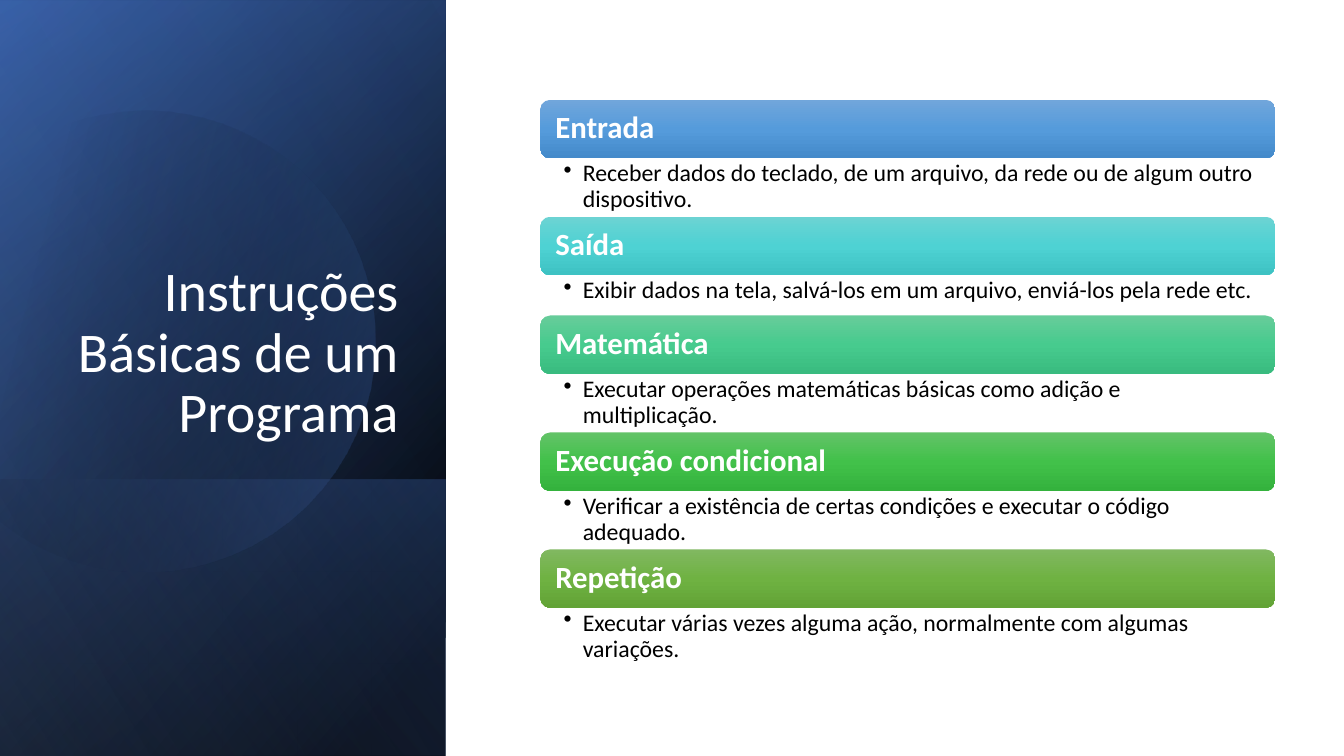
from math import cos, radians, sin

from pptx import Presentation
from pptx.dml.color import RGBColor
from pptx.enum.shapes import MSO_SHAPE
from pptx.enum.text import MSO_ANCHOR, PP_ALIGN
from pptx.oxml import parse_xml
from pptx.oxml.ns import nsdecls, qn
from pptx.util import Inches, Pt

FONT = "Calibri"
COLORS = {
    "white": "FFFFFF",
    "black": "000000",
    "navy": "2F5597",
    "blue": "4472C4",
    "pale": "8FAADC",
}
PANELS = [
    ((-1.54, 1.54, 7.5, 4.42), 50, [(8, "black", 100), (100, "navy", 100)]),
    ((-1.54, 1.55, 7.5, 4.42), 30, [(0, "black", 0), (99, "blue", 46)]),
    ((0.84, 3.92, 2.74, 4.42), 130, [(2, "blue", 29), (100, "black", 30)]),
]
DISC_STOPS = [(29, "black", 0), (100, "blue", 43)]
GLOW = ((-1.54, 1.54, 7.5, 4.42), 120, [(0, "black", 0), (99, "pale", 11)])
DISC_CENTER = (1.585, 3.345)
DISC_ROTATION = 343.9
DISC_START = (1.49, 1.1)
DISC_CURVES = [
    [(2.46, 1.12), (3.35, 1.77), (3.63, 2.75)],
    [(3.98, 3.97), (3.28, 5.23), (2.07, 5.58)],
    [(1.31, 5.8), (0.53, 5.61), (-0.03, 5.14)],
    [(-0.15, 5.03)],
    [(-0.15, 1.75)],
    [(0, 1.61)],
    [(0.23, 1.42), (0.5, 1.28), (0.8, 1.19)],
    [(1.03, 1.13), (1.26, 1.1), (1.49, 1.1)],
]
INSTRUCTIONS = [
    ("Entrada", "Receber dados do teclado, de um arquivo, da rede ou de algum outro dispositivo.",
     0.58, ("71A6DB", "559BDB", "448ACA")),
    ("Saída", "Exibir dados na tela, salvá-los em um arquivo, enviá-los pela rede etc.",
     0.4, ("6CD3D3", "4ED2D3", "3EC2C3")),
    ("Matemática", "Executar operações matemáticas básicas como adição e multiplicação.",
     0.58, ("67CC9A", "47CB8E", "39BB7F")),
    ("Execução condicional", "Verificar a existência de certas condições e executar o código adequado.",
     0.58, ("63C368", "42C14A", "34B23D")),
    ("Repetição", "Executar várias vezes alguma ação, normalmente com algumas variações.",
     0.58, ("81B861", "6FB242", "62A336")),
]
LIST_LEFT, LIST_TOP, LIST_WIDTH, BAR_HEIGHT = 5.36, 0.99, 7.29, 0.58


def fill_gradient(shape, angle, stops):
    shape.shadow.inherit = False
    shape.line.fill.background()
    shape.fill.background()
    marks = "".join(
        f'<a:gs pos="{position * 1000}"><a:srgbClr val="{COLORS.get(color, color)}">'
        f'<a:alpha val="{alpha * 1000}"/></a:srgbClr></a:gs>'
        for position, color, alpha in stops
    )
    gradient = parse_xml(
        f'<a:gradFill {nsdecls("a")} rotWithShape="1"><a:gsLst>{marks}</a:gsLst>'
        f'<a:lin ang="{angle * 60000}" scaled="0"/></a:gradFill>'
    )
    properties = shape.element.spPr
    properties.replace(properties.find(qn("a:noFill")), gradient)


def add_panel(page, area, angle, stops):
    panel = page.shapes.add_shape(MSO_SHAPE.RECTANGLE, *map(Inches, area))
    panel.rotation = 90
    panel.element.spPr.find(qn("a:xfrm")).set("flipH", "1")
    fill_gradient(panel, angle, stops)


def curve_points(start, controls, steps=16):
    if len(controls) == 1:
        return controls
    anchors = [start, *controls]
    points = []
    for step in range(1, steps + 1):
        t = step / steps
        weights = ((1 - t) ** 3, 3 * t * (1 - t) ** 2, 3 * t * t * (1 - t), t ** 3)
        points.append(tuple(
            sum(weight * anchor[axis] for weight, anchor in zip(weights, anchors))
            for axis in (0, 1)
        ))
    return points


def turn_back(point):
    angle = radians(-DISC_ROTATION)
    x, y = point[0] - DISC_CENTER[0], point[1] - DISC_CENTER[1]
    return (Inches(DISC_CENTER[0] + x * cos(angle) - y * sin(angle)),
            Inches(DISC_CENTER[1] + x * sin(angle) + y * cos(angle)))


def add_disc(page):
    outline = [DISC_START]
    for controls in DISC_CURVES:
        outline += curve_points(outline[-1], controls)
    start, *rest = map(turn_back, outline)
    builder = page.shapes.build_freeform(*start)
    builder.add_line_segments(rest, close=True)
    disc = builder.convert_to_shape()
    disc.rotation = DISC_ROTATION
    fill_gradient(disc, 30, DISC_STOPS)


def write(shape, text, size, color, anchor, insets, align=PP_ALIGN.LEFT, bold=False, bullet=False):
    frame = shape.text_frame
    frame.word_wrap = True
    frame.vertical_anchor = anchor
    frame.margin_left, frame.margin_top, frame.margin_right, frame.margin_bottom = map(Inches, insets)
    para = frame.paragraphs[0]
    para.alignment = align
    para.line_spacing = 0.9
    if bullet:
        properties = para._p.get_or_add_pPr()
        properties.set("marL", str(Inches(0.19)))
        properties.set("indent", str(Inches(-0.19)))
        properties.append(parse_xml(f'<a:buChar {nsdecls("a")} char="•"/>'))
    span = para.add_run()
    span.text = text
    span.font.name = FONT
    span.font.size = Pt(size)
    span.font.bold = bold
    span.font.color.rgb = RGBColor.from_string(COLORS[color])


def add_title(page, text):
    box = page.shapes.add_textbox(Inches(0.64), Inches(1.84), Inches(3.41), Inches(2.62))
    write(box, text, 40, "white", MSO_ANCHOR.BOTTOM, (0.1, 0.05, 0.1, 0.05), PP_ALIGN.RIGHT)


def add_instruction(page, top, name, detail, detail_height, shades):
    bar = page.shapes.add_shape(MSO_SHAPE.ROUNDED_RECTANGLE, Inches(LIST_LEFT), Inches(top),
                                Inches(LIST_WIDTH), Inches(BAR_HEIGHT))
    fill_gradient(bar, 90, [(position, shade, 100) for position, shade in zip((0, 50, 100), shades)])
    write(bar, name, 22, "white", MSO_ANCHOR.MIDDLE, (0.12, 0.09, 0.12, 0.09), bold=True)
    box = page.shapes.add_textbox(Inches(LIST_LEFT), Inches(top + BAR_HEIGHT),
                                  Inches(LIST_WIDTH), Inches(detail_height))
    write(box, detail, 17, "black", MSO_ANCHOR.TOP, (0.23, 0.03, 0.17, 0.03), bullet=True)


def main():
    deck = Presentation()
    deck.slide_width, deck.slide_height = Inches(13.33), Inches(7.5)
    page = deck.slides.add_slide(deck.slide_layouts[6])
    for panel in PANELS:
        add_panel(page, *panel)
    add_disc(page)
    add_panel(page, *GLOW)
    add_title(page, "Instruções Básicas de um Programa")
    top = LIST_TOP
    for name, detail, detail_height, shades in INSTRUCTIONS:
        add_instruction(page, top, name, detail, detail_height, shades)
        top += BAR_HEIGHT + detail_height
    deck.save("out.pptx")


if __name__ == "__main__":
    main()
